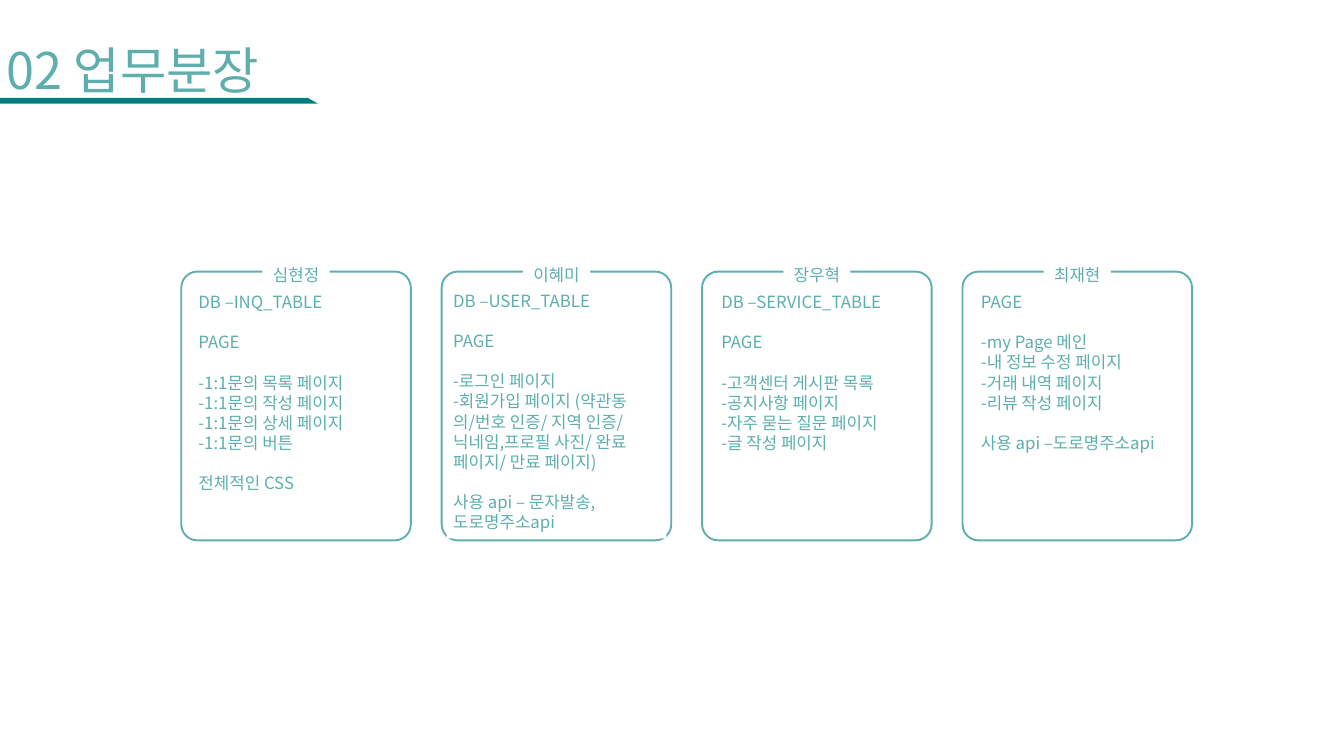
from dataclasses import dataclass

from pptx import Presentation
from pptx.dml.color import RGBColor
from pptx.enum.shapes import MSO_SHAPE
from pptx.enum.text import MSO_ANCHOR, MSO_AUTO_SIZE, PP_ALIGN
from pptx.util import Emu, Pt

ROUNDED = MSO_SHAPE.ROUNDED_RECTANGLE
PARALLELOGRAM = MSO_SHAPE.PARALLELOGRAM
LEFT, CENTER = PP_ALIGN.LEFT, PP_ALIGN.CENTER
TOP, MIDDLE = MSO_ANCHOR.TOP, MSO_ANCHOR.MIDDLE
GROW = MSO_AUTO_SIZE.SHAPE_TO_FIT_TEXT

PX = 9525  # EMU per px, 96 px to the inch


@dataclass(frozen=True)
class Theme:
    font: str = "Noto Sans CJK KR"
    teal: RGBColor = RGBColor(0x5E, 0xAE, 0xAE)
    dark_teal: RGBColor = RGBColor(0x00, 0x7E, 0x7E)
    white: RGBColor = RGBColor(0xFF, 0xFF, 0xFF)
    title_size: float = 54
    body_size: float = 18
    group_gap: float = 21.6
    frame_line: float = 2


class SlideBuilder:
    def __init__(self, slide, theme):
        self.slide = slide
        self.theme = theme

    def shape(self, kind, box, adjustment):
        shape = self.slide.shapes.add_shape(kind, *(Emu(n * PX) for n in box))
        shape.shadow.inherit = False
        shape.adjustments[0] = adjustment
        return shape

    def underline(self, box):
        bar = self.shape(PARALLELOGRAM, box, 1.76)
        bar.fill.solid()
        bar.fill.fore_color.rgb = self.theme.dark_teal
        bar.line.fill.background()
        bar._element.spPr.xfrm.set("flipH", "1")

    def frame(self, box):
        frame = self.shape(ROUNDED, box, 0.07)
        frame.fill.background()
        frame.line.color.rgb = self.theme.teal
        frame.line.width = Pt(self.theme.frame_line)

    def text(self, box, groups, size, align=LEFT, anchor=TOP, fill=None):
        """Write groups of lines, with a gap before every group but the first."""
        label = self.slide.shapes.add_textbox(*(Emu(n * PX) for n in box))
        if fill is not None:
            label.fill.solid()
            label.fill.fore_color.rgb = fill
        frame = label.text_frame
        frame.word_wrap = True
        frame.auto_size = GROW
        frame.vertical_anchor = anchor
        frame.text = "\n".join(line for group in groups for line in group)
        group_starts = set()
        count = 0
        for group in groups[:-1]:
            count += len(group)
            group_starts.add(count)
        for index, paragraph in enumerate(frame.paragraphs):
            paragraph.alignment = align
            if index in group_starts:
                paragraph.space_before = Pt(self.theme.group_gap)
            paragraph.font.name = self.theme.font
            paragraph.font.size = Pt(size)
            paragraph.font.color.rgb = self.theme.teal

    def name_tab(self, box, name):
        self.text(box, [[name]], self.theme.body_size, CENTER, MIDDLE, self.theme.white)

    def duties(self, box, groups):
        self.text(box, groups, self.theme.body_size, fill=self.theme.white)


# Each member: name, box of the duties, groups of duties
MEMBERS = [
    ("심현정", (274, 412, 277, 300), [
        ["DB –INQ_TABLE"],
        ["PAGE"],
        ["-1:1문의 목록 페이지", "-1:1문의 작성 페이지",
         "-1:1문의 상세 페이지", "-1:1문의 버튼"],
        ["전체적인 CSS"],
    ]),
    ("이혜미", (638, 410, 314, 359), [
        ["DB –USER_TABLE"],
        ["PAGE"],
        ["-로그인 페이지",
         "-회원가입 페이지 (약관동의/번호 인증/ 지역 인증/ 닉네임,프로필 사진/ "
         "완료 페이지/ 만료 페이지)"],
        ["사용 api – 문자발송, 도로명주소api"],
    ]),
    ("장우혁", (1021, 412, 296, 242), [
        ["DB –SERVICE_TABLE"],
        ["PAGE"],
        ["-고객센터 게시판 목록", "-공지사항 페이지",
         "-자주 묻는 질문 페이지", "-글 작성 페이지"],
    ]),
    ("최재현", (1392, 412, 296, 272), [
        ["PAGE"],
        ["-my Page 메인", "-내 정보 수정 페이지",
         "-거래 내역 페이지", "-리뷰 작성 페이지"],
        ["사용 api –도로명주소api"],
    ]),
]

CARD_LEFT, CARD_TOP, CARD_WIDTH, CARD_HEIGHT = 259, 388, 328, 384
CARD_STEP = 372
TAB_TOP, TAB_WIDTH, TAB_HEIGHT = 372, 96, 40


def main():
    deck = Presentation()
    deck.slide_width, deck.slide_height = Emu(1920 * PX), Emu(1080 * PX)
    theme = Theme()
    builder = SlideBuilder(deck.slides.add_slide(deck.slide_layouts[6]), theme)

    # Heading
    builder.underline((-16, 140, 470, 8))
    builder.text((0, 51, 432, 97), [["02 업무분장"]], theme.title_size)

    # One card per team member
    for index, (name, duties_box, groups) in enumerate(MEMBERS):
        left = CARD_LEFT + index * CARD_STEP
        tab_left = left + (CARD_WIDTH - TAB_WIDTH) // 2
        builder.frame((left, CARD_TOP, CARD_WIDTH, CARD_HEIGHT))
        builder.name_tab((tab_left, TAB_TOP, TAB_WIDTH, TAB_HEIGHT), name)
        builder.duties(duties_box, groups)

    deck.save("out.pptx")


if __name__ == "__main__":
    main()
